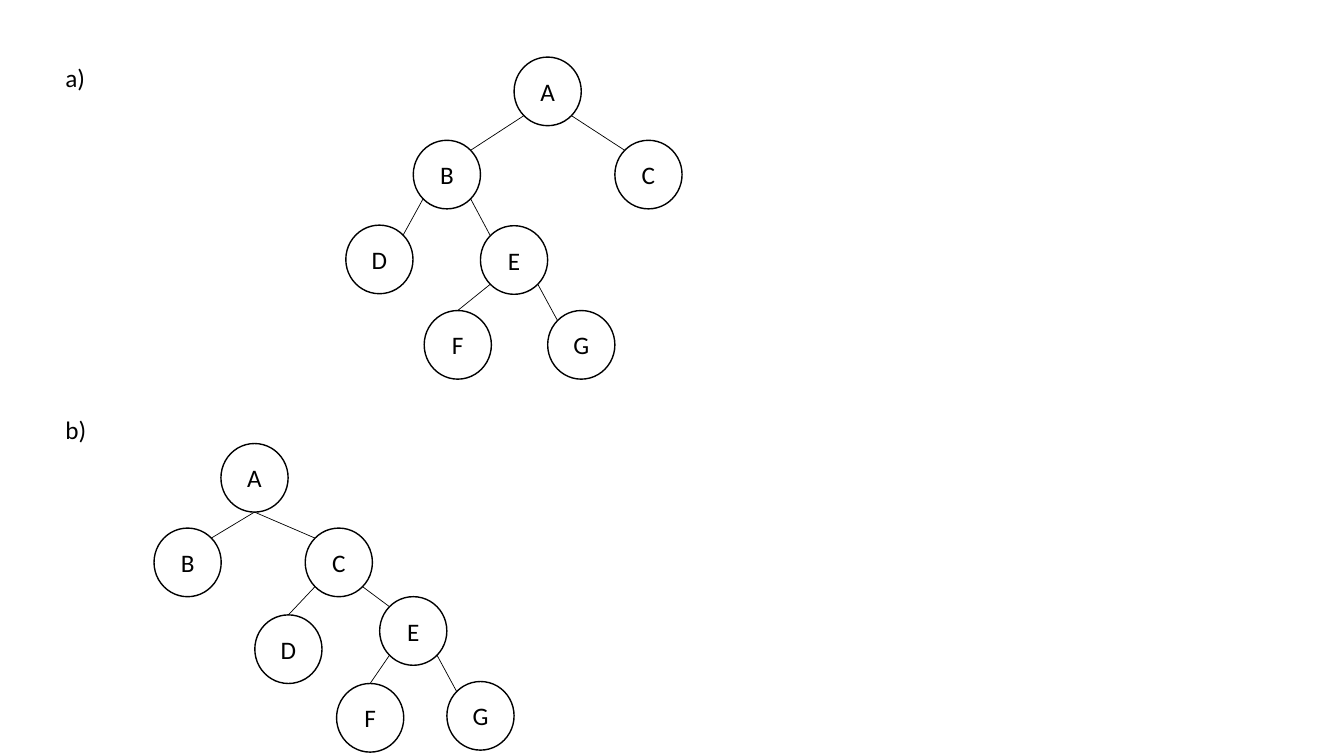
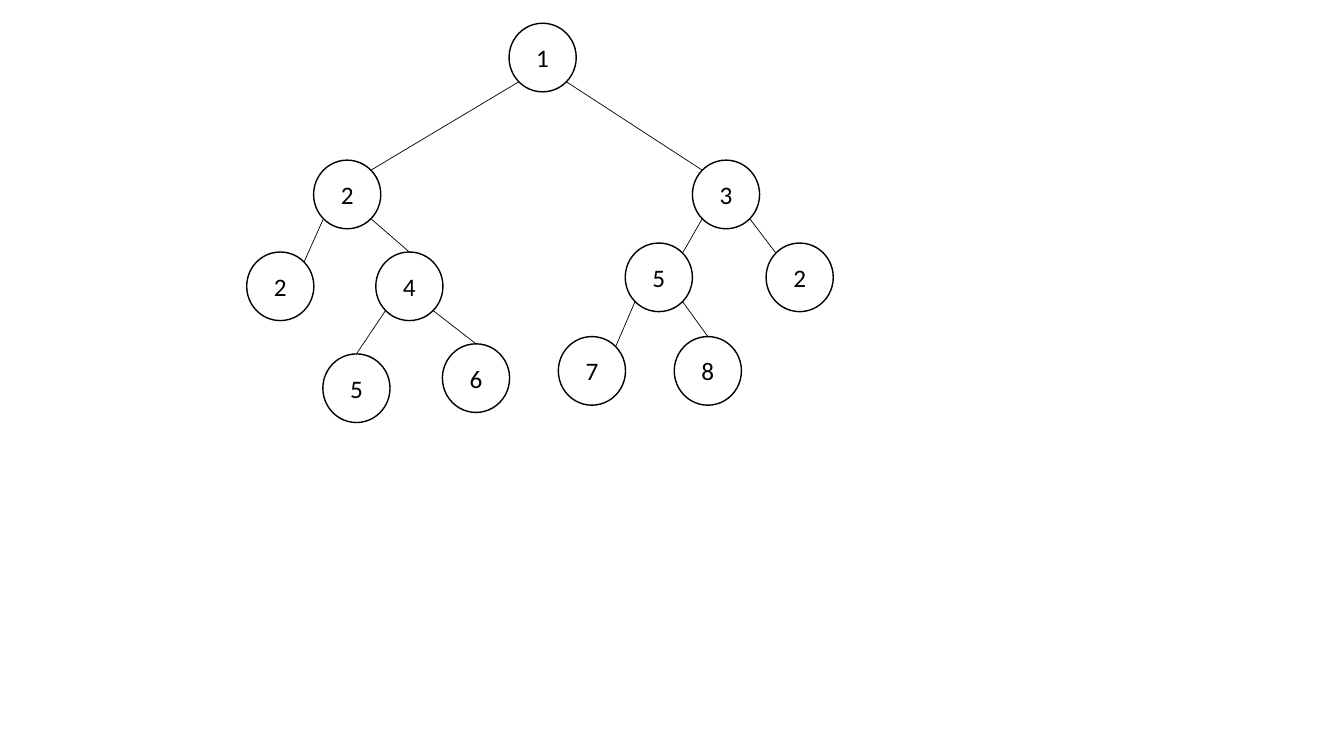
from dataclasses import dataclass
from math import sqrt

from lxml import etree
from pptx import Presentation
from pptx.dml.color import RGBColor
from pptx.enum.shapes import MSO_CONNECTOR, MSO_SHAPE
from pptx.enum.text import MSO_ANCHOR, MSO_AUTO_SIZE, PP_ALIGN
from pptx.oxml.ns import qn
from pptx.util import Pt

OVAL = MSO_SHAPE.OVAL
STRAIGHT = MSO_CONNECTOR.STRAIGHT
MIDDLE = MSO_ANCHOR.MIDDLE
TOP = MSO_ANCHOR.TOP
CENTER = PP_ALIGN.CENTER
LEFT = PP_ALIGN.LEFT
GROW = MSO_AUTO_SIZE.SHAPE_TO_FIT_TEXT


@dataclass(frozen=True)
class Theme:
    """Colours, type and line sizes shared by the slides, in points."""

    ink: RGBColor = RGBColor(0x00, 0x00, 0x00)
    paper: RGBColor = RGBColor(0xFF, 0xFF, 0xFF)
    font: str = "Calibri"
    text_size: float = 18
    outline: float = 1
    edge: float = 0.5
    node_width: float = 48
    node_height: float = 49


THEME = Theme()


@dataclass(frozen=True)
class Node:
    """A tree node; its edges meet the circle on the diagonal or at mid width."""

    label: str
    left: float
    top: float
    children: tuple = ()
    enter_middle: bool = False
    leave_middle: bool = False

    def joint(self, side, vertical, middle):
        """Return the point on the outline towards the given direction."""
        reach = sqrt(0.5)
        across, down = (0, vertical) if middle else (side * reach, vertical * reach)
        return (
            self.left + THEME.node_width * (1 + across) / 2,
            self.top + THEME.node_height * (1 + down) / 2,
        )


TREE_A = Node("A", 367.2, 40.8, (
    Node("B", 295.2, 100.2, (
        Node("D", 247, 160.8),
        Node("E", 343.2, 161.2, (
            Node("F", 303, 221.8, enter_middle=True),
            Node("G", 391.2, 221.8),
        )),
    )),
    Node("C", 439.2, 100.2),
))

TREE_B = Node("A", 157.8, 316.8, (
    Node("B", 110, 377.2),
    Node("C", 218, 377.2, (
        Node("D", 182, 439.2, enter_middle=True),
        Node("E", 271.2, 426.2, (
            Node("F", 240.4, 488.2, enter_middle=True),
            Node("G", 319.2, 486.8),
        )),
    )),
), leave_middle=True)

NUMBER_TREE = Node("1", 363.6, 16.6, (
    Node("2", 224, 114.4, (
        Node("2", 176.2, 180),
        Node("4", 268.4, 180, (
            Node("5", 230.6, 252.8, enter_middle=True),
            Node("6", 316, 245.6, enter_middle=True),
        ), enter_middle=True),
    )),
    Node("3", 494.6, 114.4, (
        Node("5", 446.6, 173.6, (
            Node("7", 398.8, 240.4),
            Node("8", 481.6, 240.4, enter_middle=True),
        )),
        Node("2", 547.2, 173.6),
    )),
))


def write_text(shape, text, align=LEFT, anchor=TOP):
    """Put one formatted line of text into a shape."""
    frame = shape.text_frame
    frame.word_wrap = True
    frame.vertical_anchor = anchor
    paragraph = frame.paragraphs[0]
    paragraph.alignment = align
    run = paragraph.add_run()
    run.text = text
    run.font.name = THEME.font
    run.font.size = Pt(THEME.text_size)
    run.font.color.rgb = THEME.ink


def add_caption(slide, text, left, top):
    """Add the letter that marks a part of the answer."""
    shape = slide.shapes.add_textbox(Pt(left), Pt(top), Pt(48), Pt(29))
    write_text(shape, text)
    shape.text_frame.auto_size = GROW


def add_circle(slide, node):
    """Draw the labelled circle of a node."""
    shape = slide.shapes.add_shape(
        OVAL, Pt(node.left), Pt(node.top), Pt(THEME.node_width), Pt(THEME.node_height)
    )
    shape.shadow.inherit = False
    shape.fill.solid()
    shape.fill.fore_color.rgb = THEME.paper
    shape.line.color.rgb = THEME.ink
    shape.line.width = Pt(THEME.outline)
    write_text(shape, node.label, align=CENTER, anchor=MIDDLE)


def add_edge(slide, parent, child):
    """Draw the line from a parent to the facing side of its child."""
    side = 1 if child.left > parent.left else -1
    start = parent.joint(side, 1, parent.leave_middle)
    end = child.joint(-side, -1, child.enter_middle)
    connector = slide.shapes.add_connector(
        STRAIGHT, *(Pt(length) for length in start + end)
    )
    connector.line.color.rgb = THEME.ink
    connector.line.width = Pt(THEME.edge)
    etree.SubElement(connector._element.spPr, qn("a:effectLst"))


def add_tree(slide, node):
    """Draw a node, its edges and everything below it."""
    add_circle(slide, node)
    for child in node.children:
        add_tree(slide, child)
        add_edge(slide, node, child)


def main():
    """Build both slides and save them."""
    presentation = Presentation()
    presentation.slide_width = Pt(960)
    presentation.slide_height = Pt(540)
    blank = presentation.slide_layouts[6]

    letters = presentation.slides.add_slide(blank)
    add_tree(letters, TREE_A)
    add_tree(letters, TREE_B)
    add_caption(letters, "a)", 39.6, 41)
    add_caption(letters, "b)", 39.6, 292.4)

    numbers = presentation.slides.add_slide(blank)
    add_tree(numbers, NUMBER_TREE)

    presentation.save("out.pptx")


main()
